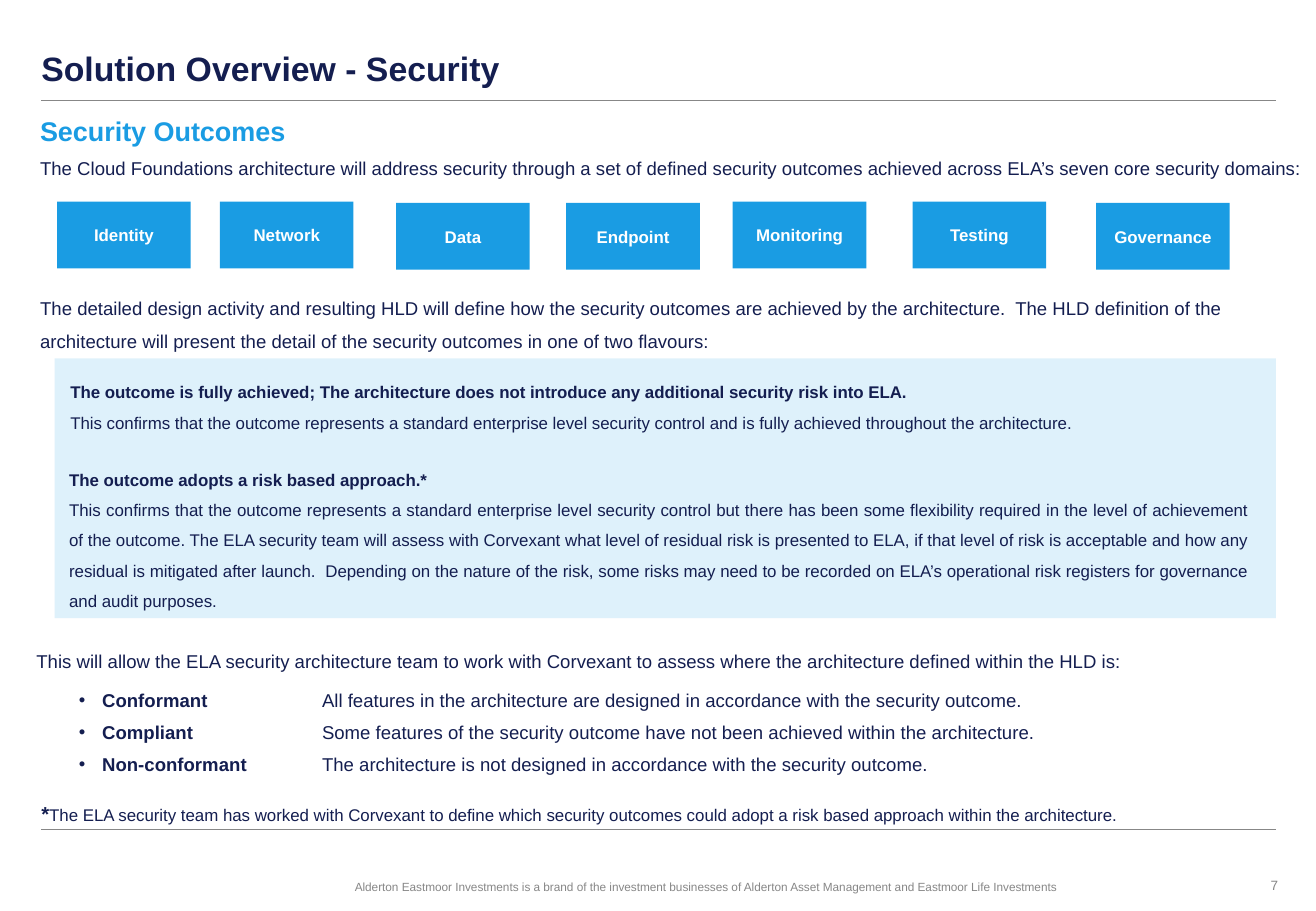
from dataclasses import dataclass

from lxml import etree
from pptx import Presentation
from pptx import util as u
from pptx.dml.color import RGBColor
from pptx.enum import shapes, text
from pptx.oxml.ns import qn

NAVY = "141E50"
BLUE = "1A9CE3"
GREY = "878787"
WHITE = "FFFFFF"
LEFT = text.PP_ALIGN.LEFT
RIGHT = text.PP_ALIGN.RIGHT
CENTER = text.PP_ALIGN.CENTER
JUSTIFY = text.PP_ALIGN.JUSTIFY
PANEL_INSETS = (0.1, 0.05)


@dataclass
class Span:
    text: str
    size: float = 11
    bold: bool = False
    color: str = NAVY


@dataclass
class TextBlock:
    box: tuple[float, float, float, float]
    paragraphs: list[list[Span]]
    align: text.PP_ALIGN = LEFT
    line_spacing: float = 1.0
    insets: tuple[float, float] = (0, 0)


@dataclass
class Domain:
    name: str
    left: float
    top: float


@dataclass
class Rating:
    name: str
    meaning: str


DOMAINS = [
    Domain("Identity", 0.47, 1.66),
    Domain("Network", 1.81, 1.66),
    Domain("Data", 3.26, 1.67),
    Domain("Endpoint", 4.66, 1.67),
    Domain("Monitoring", 6.03, 1.66),
    Domain("Testing", 7.51, 1.66),
    Domain("Governance", 9.02, 1.67),
]

RATINGS = [
    Rating("Conformant", "All features in the architecture are designed in accordance with the security outcome."),
    Rating("Compliant", "Some features of the security outcome have not been achieved within the architecture."),
    Rating("Non-conformant", "The architecture is not designed in accordance with the security outcome."),
]

TEXT_BLOCKS = [
    TextBlock((0.33, 0.94, 4, 0.27), [[Span("Security Outcomes", 16, True, BLUE)]]),
    TextBlock((0.33, 1.29, 10.5, 0.19), [[Span(
        "The Cloud Foundations architecture will address security through a set of defined "
        "security outcomes achieved across ELA’s seven core security domains:")]]),
    TextBlock((0.33, 2.35, 10.31, 0.56), [[Span(
        "The detailed design activity and resulting HLD will define how the security outcomes are "
        "achieved by the architecture.  The HLD definition of the architecture will present the "
        "detail of the security outcomes in one of two flavours:")]], line_spacing=1.5),
    TextBlock((0.48, 3.01, 9.89, 0.61), [
        [Span("The outcome is fully achieved; The architecture does not introduce any additional "
              "security risk into ELA.", 10, True)],
        [Span("This confirms that the outcome represents a standard enterprise level security "
              "control and is fully achieved throughout the architecture.", 10)],
    ], JUSTIFY, 1.5, PANEL_INSETS),
    TextBlock((0.47, 3.73, 9.89, 1.36), [
        [Span("The outcome adopts a risk based approach.*", 10, True)],
        [Span("This confirms that the outcome represents a standard enterprise level security "
              "control but there has been some flexibility required in the level of achievement of "
              "the outcome. The ELA security team will assess with Corvexant what level of residual "
              "risk is presented to ELA, if that level of risk is acceptable and how any residual is "
              "mitigated after launch.  Depending on the nature of the risk, some risks may need to "
              "be recorded on ELA’s operational risk registers for governance and audit purposes.", 10)],
    ], JUSTIFY, 1.5, PANEL_INSETS),
    TextBlock((0.3, 5.35, 10.17, 0.19), [[Span(
        "This will allow the ELA security architecture team to work with Corvexant to assess where "
        "the architecture defined within the HLD is:")]]),
    TextBlock((0.34, 6.6, 10.17, 0.2), [[
        Span("*", 12, True),
        Span("The ELA security team has worked with Corvexant to define which security outcomes "
             "could adopt a risk based approach within the architecture.", 10)]]),
    TextBlock((2.92, 7.24, 6.3, 0.12), [[Span(
        "Alderton Eastmoor Investments is a brand of the investment businesses of Alderton Asset "
        "Management and Eastmoor Life Investments", 7, color=GREY)]]),
    TextBlock((10.19, 7.22, 0.33, 0.13), [[Span("7", 8, color=GREY)]], RIGHT),
]


def rgb(color: str) -> RGBColor:
    return RGBColor.from_string(color)


def place(shape, box: tuple[float, float, float, float]) -> None:
    shape.left, shape.top, shape.width, shape.height = map(u.Inches, box)


def set_insets(frame, horizontal: float, vertical: float) -> None:
    frame.margin_left = frame.margin_right = u.Inches(horizontal)
    frame.margin_top = frame.margin_bottom = u.Inches(vertical)
    frame.word_wrap = True
    frame.auto_size = text.MSO_AUTO_SIZE.NONE


def write(paragraph, spans: list[Span], align: text.PP_ALIGN = LEFT) -> None:
    paragraph.alignment = align
    for span in spans:
        run = paragraph.add_run()
        run.text = span.text
        run.font.name = "Arial"
        run.font.size = u.Pt(span.size)
        run.font.bold = span.bold
        run.font.color.rgb = rgb(span.color)


def add_paragraphs(frame, count: int) -> list:
    for _ in range(count - 1):
        frame.add_paragraph()
    return list(frame.paragraphs)


def add_text(slide, block: TextBlock) -> None:
    frame = slide.shapes.add_textbox(*map(u.Inches, block.box)).text_frame
    set_insets(frame, *block.insets)
    for paragraph, spans in zip(add_paragraphs(frame, len(block.paragraphs)), block.paragraphs):
        paragraph.line_spacing = block.line_spacing
        write(paragraph, spans, block.align)


def add_rectangle(slide, box: tuple[float, float, float, float]):
    shape = slide.shapes.add_shape(shapes.MSO_SHAPE.RECTANGLE, *map(u.Inches, box))
    shape.shadow.inherit = False
    shape.fill.solid()
    shape.fill.fore_color.rgb = rgb(BLUE)
    shape.line.fill.background()
    return shape


def add_panel(slide) -> None:
    panel = add_rectangle(slide, (0.45, 2.95, 10.05, 2.14))
    color = panel.fill._xPr.find(qn("a:solidFill"))[0]
    etree.SubElement(color, qn("a:alpha"), val="14000")


def add_domain(slide, domain: Domain) -> None:
    shape = add_rectangle(slide, (domain.left, domain.top, 1.1, 0.55))
    shape.text_frame.vertical_anchor = text.MSO_ANCHOR.MIDDLE
    write(shape.text_frame.paragraphs[0], [Span(domain.name, 10, True, WHITE)], CENTER)


def add_rule(slide, top: float) -> None:
    start, end, height = u.Inches(0.34), u.Inches(10.5), u.Inches(top)
    rule = slide.shapes.add_connector(shapes.MSO_CONNECTOR.STRAIGHT, start, height, end, height)
    rule.line.color.rgb = rgb(GREY)
    rule.line.width = u.Pt(0.75)
    etree.SubElement(rule._element.spPr, qn("a:effectLst"))


def fill_title(title) -> None:
    place(title, (0.34, 0.35, 10.16, 0.42))
    set_insets(title.text_frame, 0, 0.04)
    title.text_frame.vertical_anchor = text.MSO_ANCHOR.BOTTOM
    write(title.text_frame.paragraphs[0], [Span("Solution Overview - Security", 20, True)])


def fill_ratings(body) -> None:
    place(body, (0.65, 5.67, 10.17, 0.75))
    set_insets(body.text_frame, 0, 0)
    for paragraph, rating in zip(add_paragraphs(body.text_frame, len(RATINGS)), RATINGS):
        paragraph.space_before = u.Pt(0)
        paragraph.space_after = u.Pt(5.7)
        write(paragraph, [Span(rating.name, bold=True), Span("\t" + rating.meaning)])
        properties = paragraph._p.get_or_add_pPr()
        properties.set("marL", str(u.Inches(0.19)))
        properties.set("indent", str(u.Inches(-0.19)))
        tabs = etree.SubElement(properties, qn("a:tabLst"))
        etree.SubElement(tabs, qn("a:tab"), pos=str(u.Inches(2)), algn="l")


def main() -> None:
    presentation = Presentation()
    presentation.slide_width, presentation.slide_height = u.Inches(10.83), u.Inches(7.5)
    slide = presentation.slides.add_slide(presentation.slide_layouts[1])
    fill_title(slide.shapes.title)
    fill_ratings(slide.placeholders[1])
    for top in (0.83, 6.83):
        add_rule(slide, top)
    add_panel(slide)
    for domain in DOMAINS:
        add_domain(slide, domain)
    for block in TEXT_BLOCKS:
        add_text(slide, block)
    presentation.save("out.pptx")


if __name__ == "__main__":
    main()
